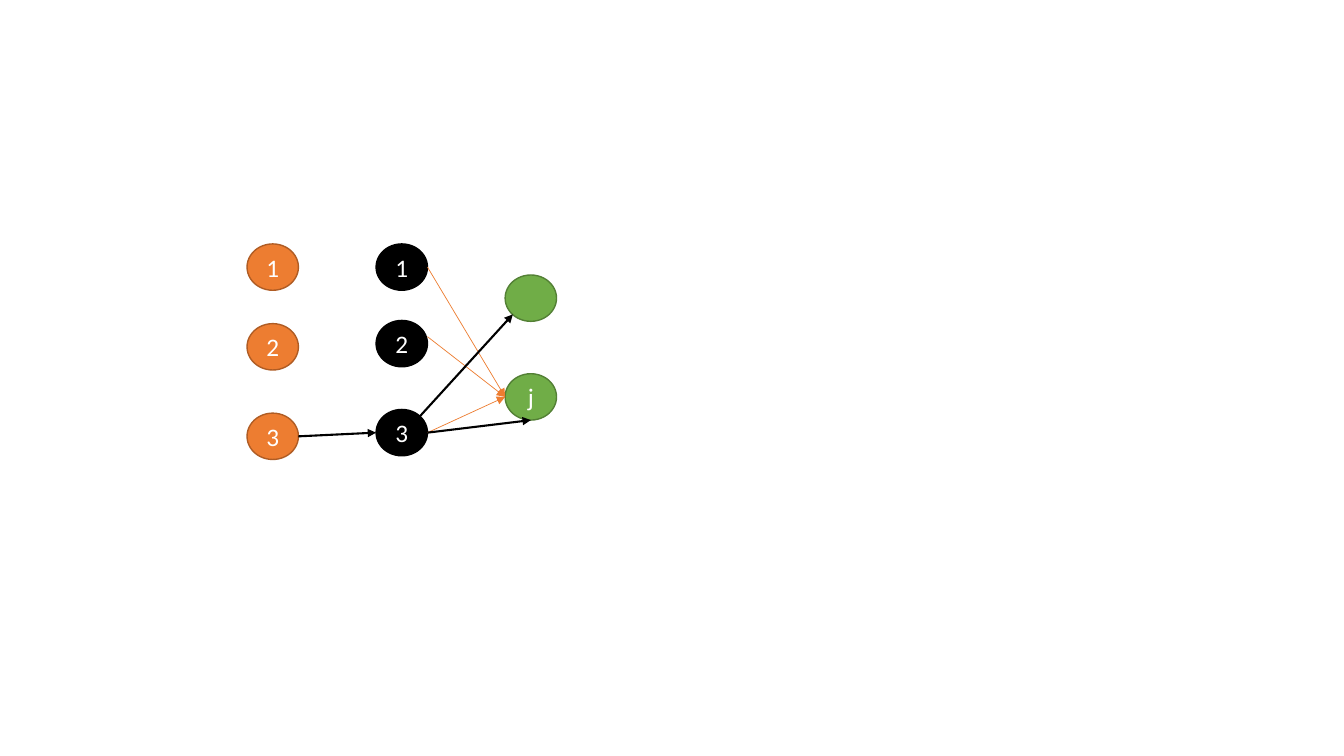
from dataclasses import dataclass

import lxml.etree
import pptx
import pptx.dml.color
import pptx.enum.shapes
import pptx.enum.text
import pptx.oxml.ns
import pptx.slide
import pptx.util

RGB = pptx.dml.color.RGBColor
ORANGE = RGB(0xED, 0x7D, 0x31)
DARK_ORANGE = RGB(0xAF, 0x5C, 0x24)
GREEN = RGB(0x70, 0xAD, 0x47)
DARK_GREEN = RGB(0x53, 0x80, 0x35)
BLACK = RGB(0x00, 0x00, 0x00)
WHITE = RGB(0xFF, 0xFF, 0xFF)

# Grid in inches: one row is one node high
LEFT, TOP = 2.45, 2.42
COL, ROW = 1.28, 0.46
NODE_WIDTH = 0.51

# Points on a node, as shares of its width and height
Anchor = tuple[float, float]
ENTRY: Anchor = (0, 0.5)
EXIT: Anchor = (1, 0.5)
UPPER_EXIT: Anchor = (1, 0.35)
BOTTOM: Anchor = (0.5, 1)
UPPER_RIGHT: Anchor = (0.85, 0.15)
LOWER_LEFT: Anchor = (0.15, 0.85)


@dataclass(frozen=True)
class Layer:
    fill: RGB
    outline: RGB
    nodes: tuple[tuple[str, float], ...]  # label, row


@dataclass(frozen=True)
class Node:
    label: str
    col: int
    row: float

    def point(self, anchor: Anchor) -> tuple[int, int]:
        """Slide position of an anchor on this node."""
        return (
            pptx.util.Inches(LEFT + self.col * COL + anchor[0] * NODE_WIDTH),
            pptx.util.Inches(TOP + (self.row + anchor[1]) * ROW),
        )


@dataclass(frozen=True)
class Arrow:
    start: Node
    start_anchor: Anchor
    end: Node
    end_anchor: Anchor
    color: RGB = BLACK
    width: float = 1.5


LAYERS = (
    Layer(ORANGE, DARK_ORANGE, (("1", 0), ("2", 1.72), ("3", 3.65))),
    Layer(BLACK, BLACK, (("1", 0), ("2", 1.65), ("3", 3.57))),
    Layer(GREEN, DARK_GREEN, (("", 0.67), ("j", 2.8))),
)
INPUTS, HIDDEN, OUTPUTS = (
    [Node(label, col, row) for label, row in layer.nodes]
    for col, layer in enumerate(LAYERS)
)
ARROWS = (
    *(
        Arrow(node, anchor, OUTPUTS[1], ENTRY, ORANGE, 0.5)
        for node, anchor in zip(HIDDEN, (EXIT, UPPER_EXIT, EXIT))
    ),
    Arrow(INPUTS[2], EXIT, HIDDEN[2], ENTRY),
    Arrow(HIDDEN[2], EXIT, OUTPUTS[1], BOTTOM),
    Arrow(HIDDEN[2], UPPER_RIGHT, OUTPUTS[0], LOWER_LEFT),
)


def draw_node(slide: pptx.slide.Slide, node: Node, layer: Layer) -> None:
    sp = slide.shapes.add_shape(
        pptx.enum.shapes.MSO_SHAPE.OVAL,
        *node.point((0, 0)),
        pptx.util.Inches(NODE_WIDTH),
        pptx.util.Inches(ROW),
    )
    sp.shadow.inherit = False
    sp.fill.solid()
    sp.fill.fore_color.rgb = layer.fill
    sp.line.color.rgb = layer.outline
    sp.line.width = pptx.util.Pt(1)
    if not node.label:
        return
    tf = sp.text_frame
    tf.vertical_anchor = pptx.enum.text.MSO_ANCHOR.MIDDLE
    p = tf.paragraphs[0]
    p.alignment = pptx.enum.text.PP_ALIGN.CENTER
    r = p.add_run()
    r.text = node.label
    r.font.name = "Calibri"
    r.font.size = pptx.util.Pt(18)
    r.font.color.rgb = WHITE


def draw_arrow(slide: pptx.slide.Slide, arrow: Arrow) -> None:
    cxn = slide.shapes.add_connector(
        pptx.enum.shapes.MSO_CONNECTOR.STRAIGHT,
        *arrow.start.point(arrow.start_anchor),
        *arrow.end.point(arrow.end_anchor),
    )
    cxn.line.color.rgb = arrow.color
    cxn.line.width = pptx.util.Pt(arrow.width)
    qn = pptx.oxml.ns.qn
    ln = cxn.line._get_or_add_ln()
    lxml.etree.SubElement(ln, qn("a:tailEnd"), type="triangle")
    lxml.etree.SubElement(cxn._element.spPr, qn("a:effectLst"))


def main() -> None:
    prs = pptx.Presentation()
    prs.slide_width = pptx.util.Inches(13.33)
    prs.slide_height = pptx.util.Inches(7.5)
    slide = prs.slides.add_slide(prs.slide_layouts.get_by_name("Blank"))
    for layer, nodes in zip(LAYERS, (INPUTS, HIDDEN, OUTPUTS)):
        for node in nodes:
            draw_node(slide, node, layer)
    for arrow in ARROWS:
        draw_arrow(slide, arrow)
    prs.save("out.pptx")


if __name__ == "__main__":
    main()
